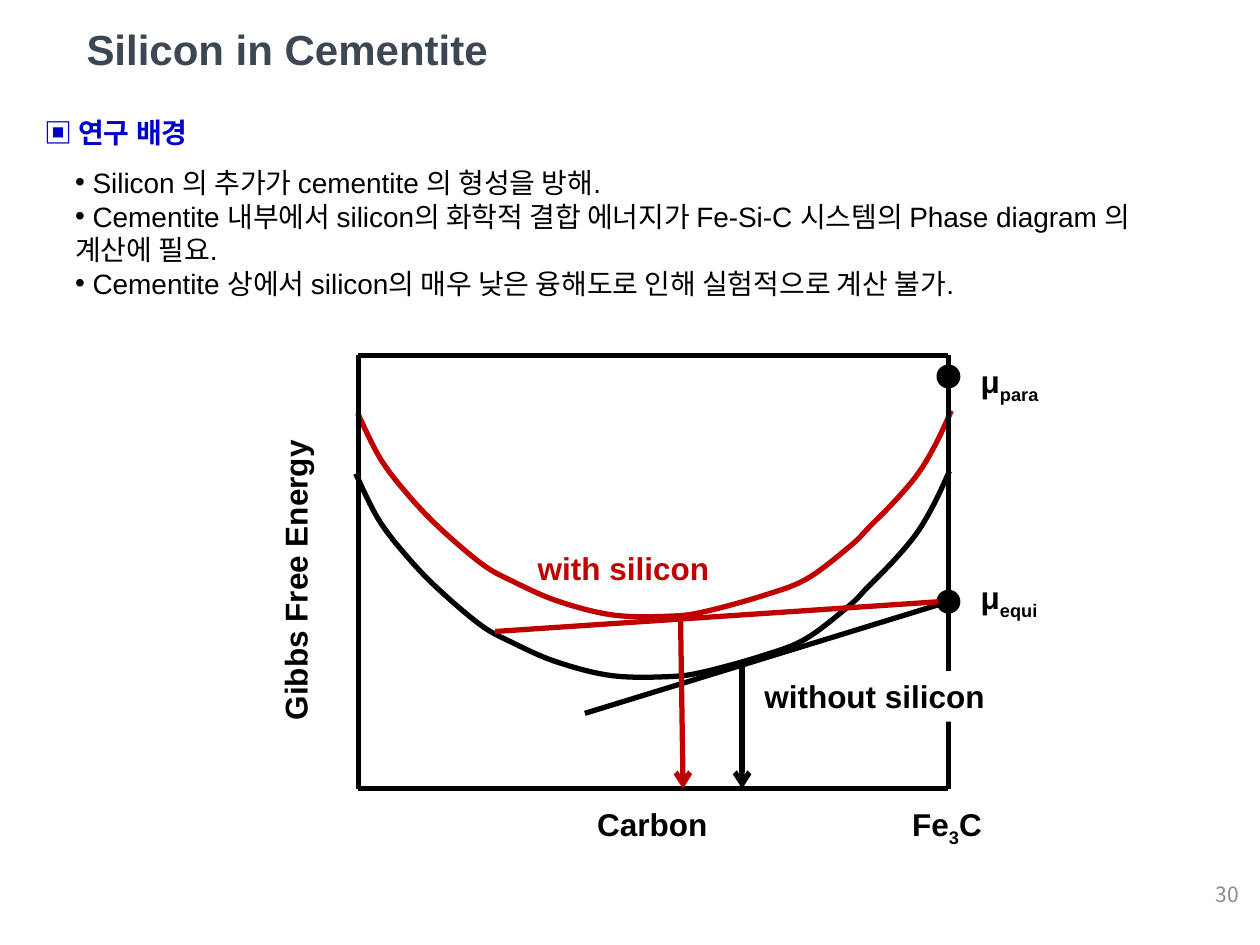
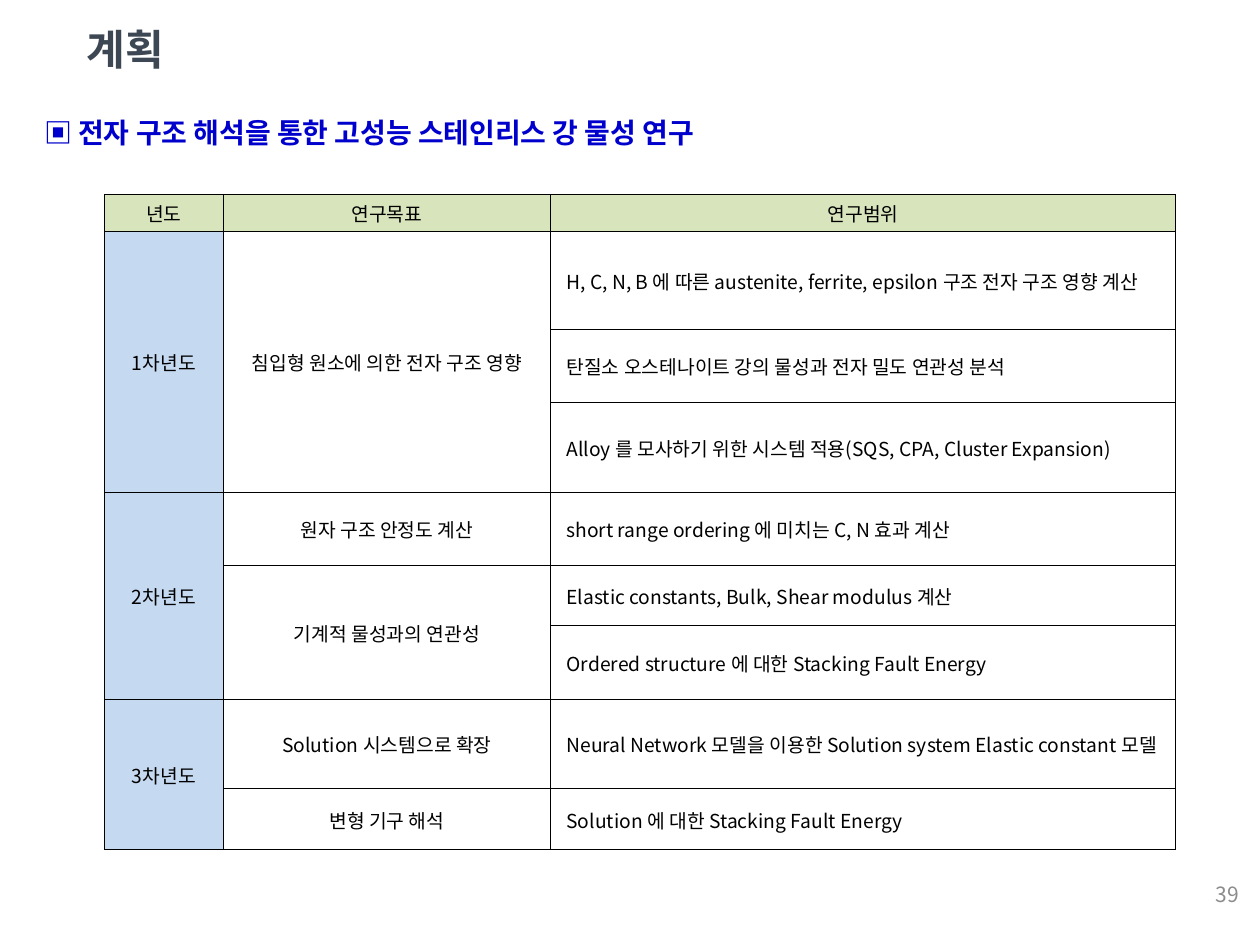
from typing import NamedTuple, Optional

from lxml import etree
from pptx import Presentation
from pptx.dml.color import RGBColor
from pptx.enum import shapes, text
from pptx.oxml import ns
from pptx.util import Cm, Pt

BLACK = RGBColor(0x00, 0x00, 0x00)
WHITE = RGBColor(0xFF, 0xFF, 0xFF)
RED = RGBColor(0xC0, 0x00, 0x00)
BLUE = RGBColor(0x00, 0x00, 0xCC)
SLATE = RGBColor(0x3D, 0x47, 0x53)
GRAY = RGBColor(0x8C, 0x8C, 0x8C)
GREEN = RGBColor(0xD8, 0xE4, 0xBC)
SKY = RGBColor(0xC5, 0xD9, 0xF1)
LATIN, HEAD, KOREAN = "Arial", "Calibri", "Noto Sans CJK KR"
THICK = Pt(3)


class Line(NamedTuple):
    x1: float
    y1: float
    x2: float
    y2: float
    color: RGBColor = BLACK
    arrow: bool = False


class Label(NamedTuple):
    """A bold caption; text between underscores is set as a subscript."""
    words: str
    left: float
    top: float
    width: float
    color: RGBColor = BLACK
    fill: Optional[RGBColor] = None
    turn: int = 0


# Plot frame, in cm
LEFT, TOP, RIGHT, BASE = 7.22, 7.16, 19.12, 15.9
DOT = 0.41
PARA, EQUI = 7.59, 12.13  # heights of the two potentials

FRAME = [
    Line(LEFT, TOP, RIGHT, TOP),
    Line(LEFT, BASE, RIGHT, BASE),
    Line(LEFT, TOP, LEFT, BASE),
    Line(RIGHT, TOP, RIGHT, BASE),
]
TANGENTS = [
    Line(11.79, 14.38, 18.92, 12.19),
    Line(9.98, 12.73, 18.92, EQUI, RED),
    Line(14.96, 13.34, 14.96, BASE, arrow=True),
    Line(13.72, 12.52, 13.77, BASE, RED, True),
]
CURVE = [
    (7.21, 8.33), (7.67, 9.25), (8.23, 9.98), (8.86, 10.64), (9.73, 11.38),
    (10.36, 11.73), (11.25, 12.12), (12.37, 12.4), (13.54, 12.42),
    (14.25, 12.32), (15.44, 11.99), (16.28, 11.66), (17.15, 11.0),
    (17.53, 10.62), (18.06, 10.08), (18.52, 9.53), (18.87, 8.94),
    (19.18, 8.28),
]
LABELS = [
    Label("with silicon", 10.59, 10.95, 4.01, RED),
    Label("without silicon", 15.16, 13.53, 5.0, fill=WHITE),
    Label("Fe_3_C", 18.14, 16.1, 1.96),
    Label("Carbon", 11.79, 16.1, 2.95),
    Label("μ_equi", 19.52, 11.53, 1.75),
    Label("μ_para", 19.52, 7.17, 1.78),
    Label("Gibbs Free Energy", 2.84, 11.15, 6.22, turn=270),
]
POINTS = [
    " Silicon 의 추가가 cementite 의 형성을 방해.",
    " Cementite 내부에서 silicon의 화학적 결합 에너지가 Fe-Si-C 시스템의 "
    "Phase diagram 의 계산에 필요.",
    " Cementite 상에서 silicon의 매우 낮은 융해도로 인해 실험적으로 계산 불가.",
]

# None continues the cell above
PLAN = [
    ("년도", "연구목표", "연구범위"),
    ("1차년도", "침입형 원소에 의한 전자 구조 영향",
     "H, C, N, B 에 따른 austenite, ferrite, epsilon 구조 전자 구조 영향 계산"),
    (None, None, "탄질소 오스테나이트 강의 물성과 전자 밀도 연관성 분석"),
    (None, None, "Alloy 를 모사하기 위한 시스템 적용(SQS, CPA, Cluster Expansion)"),
    ("2차년도", "원자 구조 안정도 계산", "short range ordering 에 미치는 C, N 효과 계산"),
    (None, "기계적 물성과의 연관성", "Elastic constants, Bulk, Shear modulus 계산"),
    (None, None, "Ordered structure 에 대한 Stacking Fault Energy"),
    ("3차년도", "Solution 시스템으로 확장",
     "Neural Network 모델을 이용한 Solution system Elastic constant 모델"),
    (None, "변형 기구 해석", "Solution 에 대한 Stacking Fault Energy"),
]
COLS = [2.39, 6.6, 12.6]
ROWS = [0.74, 1.98, 1.47, 1.81, 1.47, 1.22, 1.48, 1.81, 1.22]


def style(par, face: str, size: float, color: RGBColor, bold: bool = False) -> None:
    """Format every run, with pair kerning off."""
    for run in par.runs:
        font = run.font
        font.name, font.size, font.bold = face, Pt(size), bold
        font.color.rgb = color
        run._r.get_or_add_rPr().set("kern", "0")


def place(shape, left: float, top: float, width: float, height: float) -> None:
    shape.left, shape.top = Cm(left), Cm(top)
    shape.width, shape.height = Cm(width), Cm(height)


def add_text(slide, words: str, left: float, top: float, width: float, height: float):
    box = slide.shapes.add_textbox(Cm(left), Cm(top), Cm(width), Cm(height))
    box.text_frame.word_wrap = True
    box.text_frame.text = words
    return box


def add_page(deck, layout: int, title: str, topic: str, number: int):
    """Add a slide with the shared title, topic line and page number."""
    slide = deck.slides.add_slide(deck.slide_layouts[layout])
    head = slide.shapes.title
    place(head, 1.49, 0.18, 16.41, 1.6)
    frame = head.text_frame
    frame.text = title
    frame.auto_size = text.MSO_AUTO_SIZE.NONE
    frame.vertical_anchor = text.MSO_ANCHOR.MIDDLE
    frame.paragraphs[0].alignment = text.PP_ALIGN.LEFT
    style(frame.paragraphs[0], LATIN, 24, SLATE, True)

    frame = add_text(slide, "▣ " + topic, 0.89, 2.13, 23.27, 0.85).text_frame
    frame.margin_left = frame.margin_right = frame.margin_top = frame.margin_bottom = 0
    frame.paragraphs[0].line_spacing = Pt(25)
    style(frame.paragraphs[0], HEAD, 16, BLUE, True)

    frame = add_text(slide, str(number), 19.31, 17.51, 5.92, 1.02).text_frame
    frame.vertical_anchor = text.MSO_ANCHOR.MIDDLE
    frame.paragraphs[0].alignment = text.PP_ALIGN.RIGHT
    style(frame.paragraphs[0], KOREAN, 12, GRAY)
    return slide


def fill_list(body, points: list[str]) -> None:
    place(body, 1.26, 3.21, 22.43, 3.0)
    frame = body.text_frame
    frame.text = "\n".join(points)
    frame.auto_size = text.MSO_AUTO_SIZE.NONE
    frame.vertical_anchor = text.MSO_ANCHOR.TOP
    for par in frame.paragraphs:
        par.space_before = Pt(0)
        props = par._p.get_or_add_pPr()
        props.set("marL", "0")
        props.set("indent", "0")
        etree.SubElement(props, ns.qn("a:buChar"), char="•")
        style(par, LATIN, 16, BLACK)


def add_line(slide, line: Line) -> None:
    link = slide.shapes.add_connector(
        shapes.MSO_CONNECTOR.STRAIGHT,
        Cm(line.x1), Cm(line.y1), Cm(line.x2), Cm(line.y2))
    link.line.color.rgb, link.line.width = line.color, THICK
    if line.arrow:
        etree.SubElement(link.line._get_or_add_ln(), ns.qn("a:tailEnd"), type="arrow")
    etree.SubElement(link._element.spPr, ns.qn("a:effectLst"))


def bend(shape) -> None:
    """Turn the straight segments of a freeform into a smooth Bézier curve."""
    nodes = list(shape._element.iter(ns.qn("a:pt")))
    spots = [(int(node.get("x")), int(node.get("y"))) for node in nodes]
    ends = [spots[0], *spots, spots[-1]]
    for node, a, b, c, d in zip(nodes[1:], ends, ends[1:], ends[2:], ends[3:]):
        part = node.getparent()
        part.tag = ns.qn("a:cubicBezTo")
        exit_, entry = (
            [(p + (q - r) / 6) for p, q, r in zip(base, ahead, back)]
            for base, ahead, back in ((b, c, a), (c, b, d)))
        for i, (x, y) in enumerate((exit_, entry)):
            grip = etree.Element(ns.qn("a:pt"), x=str(round(x)), y=str(round(y)))
            part.insert(i, grip)


def add_curve(slide, color: RGBColor, dx: float = 0, dy: float = 0) -> None:
    track = [(Cm(x + dx), Cm(y + dy)) for x, y in CURVE]
    pen = slide.shapes.build_freeform(*track[0])
    pen.add_line_segments(track[1:], close=False)
    curve = pen.convert_to_shape()
    bend(curve)
    curve.shadow.inherit = False
    curve.fill.background()
    curve.line.color.rgb, curve.line.width = color, THICK


def add_dot(slide, mid: float) -> None:
    dot = slide.shapes.add_shape(
        shapes.MSO_SHAPE.OVAL, Cm(RIGHT - DOT / 2), Cm(mid - DOT / 2), Cm(DOT), Cm(DOT))
    dot.shadow.inherit = False
    dot.fill.solid()
    dot.fill.fore_color.rgb = BLACK
    dot.line.color.rgb, dot.line.width = BLACK, Pt(2)


def add_label(slide, label: Label) -> None:
    box = add_text(slide, "", label.left, label.top, label.width, 1.02)
    box.rotation = label.turn
    if label.fill is not None:
        box.fill.solid()
        box.fill.fore_color.rgb = label.fill
    frame = box.text_frame
    frame.word_wrap = False
    frame.auto_size = text.MSO_AUTO_SIZE.SHAPE_TO_FIT_TEXT
    par = frame.paragraphs[0]
    for i, part in enumerate(label.words.split("_")):
        run = par.add_run()
        run.text = part
        if i % 2:
            run._r.get_or_add_rPr().set("baseline", "-25000")
    style(par, LATIN, 18, label.color, True)


def add_edges(cell) -> None:
    props = cell._tc.get_or_add_tcPr()
    for side in ("lnL", "lnR", "lnT", "lnB"):
        edge = etree.SubElement(props, ns.qn("a:" + side), w=str(Pt(0.5)))
        paint = etree.SubElement(edge, ns.qn("a:solidFill"))
        etree.SubElement(paint, ns.qn("a:srgbClr"), val=str(BLACK))


def format_cell(cell, row: int, col: int) -> None:
    add_edges(cell)
    if row == 0 or col == 0:
        cell.fill.solid()
        cell.fill.fore_color.rgb = GREEN if row == 0 else SKY
    else:
        cell.fill.background()
    cell.vertical_anchor = text.MSO_ANCHOR.MIDDLE
    cell.margin_left = cell.margin_right = cell.margin_top = Cm(0.02)
    cell.margin_bottom = 0
    par = cell.text_frame.paragraphs[0]
    if row and col == 2:
        par._p.get_or_add_pPr().set("marL", str(Cm(0.3)))
    else:
        par.alignment = text.PP_ALIGN.CENTER
    style(par, KOREAN, 11, BLACK)


def add_plan(slide) -> None:
    grid = slide.shapes.add_table(
        len(ROWS), len(COLS), Cm(2.11), Cm(3.92), Cm(sum(COLS)), Cm(sum(ROWS))).table
    grid.first_row = grid.horz_banding = False
    for col, width in zip(grid.columns, COLS):
        col.width = Cm(width)
    for row, height in zip(grid.rows, ROWS):
        row.height = Cm(height)
    for c in range(len(COLS)):
        for r, cells in enumerate(PLAN):
            cell = grid.cell(r, c)
            cell.text = cells[c] or ""
            format_cell(cell, r, c)
        starts = [r for r, cells in enumerate(PLAN) if cells[c]]
        for first, after in zip(starts, starts[1:] + [len(PLAN)]):
            if after - first > 1:
                grid.cell(first, c).merge(grid.cell(after - 1, c))


def main() -> None:
    deck = Presentation()
    deck.slide_width, deck.slide_height = Cm(25.4), Cm(19.05)

    slide = add_page(deck, 1, "Silicon in Cementite", "연구 배경", 30)
    fill_list(slide.placeholders[1], POINTS)
    add_curve(slide, RED)
    for line in FRAME:
        add_line(slide, line)
    for mid in (EQUI, PARA):
        add_dot(slide, mid)
    add_curve(slide, BLACK, -0.04, 1.22)
    for line in TANGENTS:
        add_line(slide, line)
    for label in LABELS:
        add_label(slide, label)

    slide = add_page(deck, 5, "계획", "전자 구조 해석을 통한 고성능 스테인리스 강 물성 연구", 39)
    add_plan(slide)
    deck.save("out.pptx")


if __name__ == "__main__":
    main()
